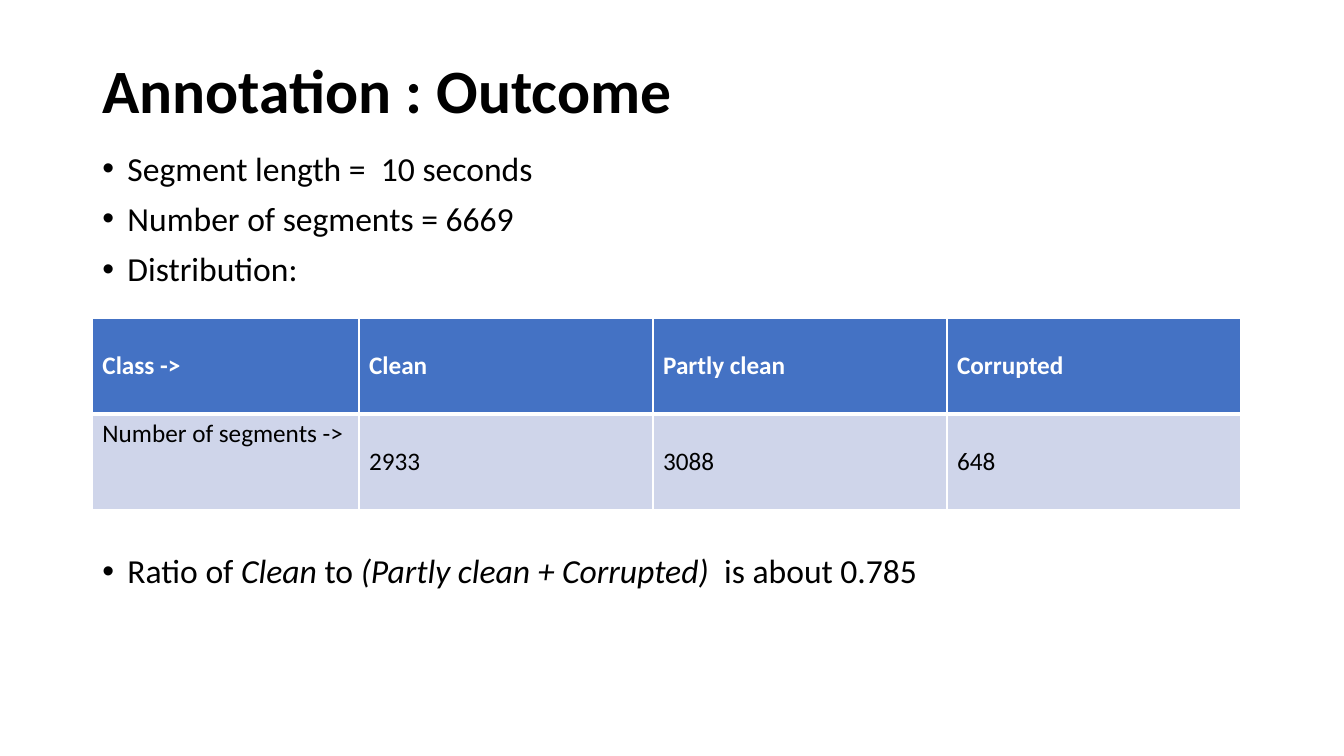
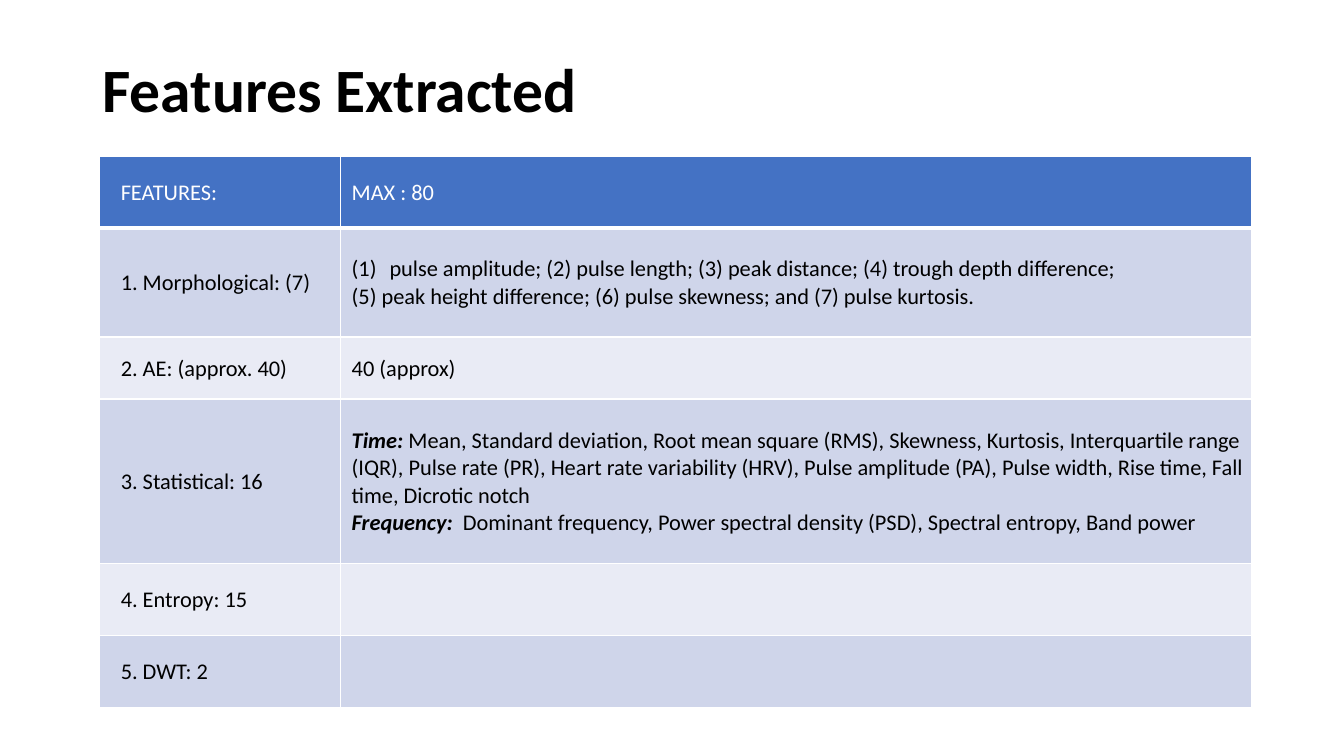
"""Build two slides: the annotation outcome and the extracted features."""
import dataclasses

import lxml.etree
import pptx
import pptx.dml.color
import pptx.enum.text
import pptx.oxml.ns
import pptx.util


@dataclasses.dataclass(frozen=True)
class Theme:
    font: str = "Calibri"
    black: str = "000000"
    white: str = "FFFFFF"
    head: str = "4472C4"
    bands: tuple = ("CFD5EA", "E9EBF5")
    title: int = 44
    body: int = 24
    cell: int = 18
    small: int = 16
    thin: int = 1
    thick: int = 3


theme = Theme()
px = 9525
qn = pptx.oxml.ns.qn
color = pptx.dml.color.RGBColor.from_string
middle = pptx.enum.text.MSO_ANCHOR.MIDDLE


def write(para, runs, size, tint):
    """Add (text, style) runs, where style may hold b and i."""
    for text, style in runs:
        run = para.add_run()
        run.text = text
        font = run.font
        font.name, font.size = theme.font, pptx.util.Pt(size)
        font.color.rgb = color(tint)
        font.bold, font.italic = "b" in style, "i" in style


def grid(slide, left, top, cols, rows, cells, size):
    """Add a banded table; each cell is a list of paragraphs."""
    shape = slide.shapes.add_table(len(rows), len(cols), left * px, top * px,
                                   sum(cols) * px, sum(rows) * px)
    table = shape.table
    table.first_row = table.horz_banding = False
    for col, width in zip(table.columns, cols):
        col.width = width * px
    for r, height in enumerate(rows):
        table.rows[r].height = height * px
        fill = theme.bands[(r - 1) % 2] if r else theme.head
        for c, paras in enumerate(cells[r]):
            cell = table.cell(r, c)
            cell.vertical_anchor = middle
            props = cell._tc.get_or_add_tcPr()
            for side in "LRTB":
                thick = (r, side) in ((0, "B"), (1, "T"))
                width = theme.thick if thick else theme.thin
                line = lxml.etree.SubElement(props, qn("a:ln" + side), w=str(pptx.util.Pt(width)))
                solid = lxml.etree.SubElement(line, qn("a:solidFill"))
                lxml.etree.SubElement(solid, qn("a:srgbClr"), val=theme.white)
            cell.fill.solid()
            cell.fill.fore_color.rgb = color(fill)
            frame = cell.text_frame
            for n, runs in enumerate(paras):
                para = frame.add_paragraph() if n else frame.paragraphs[0]
                write(para, runs, size, theme.black if r else theme.white)
    return table


deck = pptx.Presentation()
deck.slide_width, deck.slide_height = 1280 * px, 720 * px
slides = []
for text, top, height in (("Annotation : Outcome", 38, 102), ("Features Extracted", 48, 81)):
    slide = deck.slides.add_slide(deck.slide_layouts[5])
    title = slide.shapes.title
    title.left, title.top, title.width, title.height = 88 * px, top * px, 1104 * px, height * px
    title.text_frame.vertical_anchor = middle
    para = title.text_frame.paragraphs[0]
    para.alignment = pptx.enum.text.PP_ALIGN.LEFT
    para.line_spacing = 0.9
    write(para, [(text, "b")], theme.title, theme.black)
    slides.append(slide)
first, second = slides

points = [
    (10, [("Segment length =  10 seconds", "")]),
    (10, [("Number of segments = 6669", "")]),
    (10, [("Distribution:", "")]),
    (190, [("Ratio of ", ""), ("Clean ", "i"), ("to ", ""),
           ("(Partly clean + Corrupted)  ", "i"), ("is about 0.785", "")]),
]
frame = first.shapes.add_textbox(88 * px, 140 * px, 1104 * px, 508 * px).text_frame
frame.word_wrap = True
for n, (gap, runs) in enumerate(points):
    para = frame.add_paragraph() if n else frame.paragraphs[0]
    para.line_spacing, para.space_before = 0.9, pptx.util.Pt(gap)
    props = para._p.get_or_add_pPr()
    props.set("marL", str(24 * px))
    props.set("indent", str(-24 * px))
    lxml.etree.SubElement(props, qn("a:buFont"), typeface="Arial")
    lxml.etree.SubElement(props, qn("a:buChar"), char="•")
    write(para, runs, theme.body, theme.black)

counts = [
    [[[(text, "b")]] for text in ("Class ->", "Clean", "Partly clean", "Corrupted")],
    [[[(text, "")]] for text in ("Number of segments ->", "2933", "3088", "648")],
]
table = grid(first, 88, 303, [254, 280, 280, 280], [91, 91], counts, theme.cell)
table.cell(1, 0).vertical_anchor = pptx.enum.text.MSO_ANCHOR.TOP

traits = [
    ("FEATURES:", [[("MAX : 80", "")]]),
    ("1. Morphological: (7)", [
        [("pulse amplitude; (2) pulse length; (3) peak distance; "
          "(4) trough depth difference;", "")],
        [("(5) peak height difference; (6) pulse skewness; and (7) pulse kurtosis.", "")]]),
    ("2. AE: (approx. 40)", [[("40 (approx)", "")]]),
    ("3. Statistical: 16", [
        [("Time: ", "bi"),
         ("Mean, Standard deviation, Root mean square (RMS), Skewness, Kurtosis, "
          "Interquartile range (IQR), Pulse rate (PR), Heart rate variability (HRV), "
          "Pulse amplitude (PA), Pulse width, Rise time, Fall time, Dicrotic notch", "")],
        [("Frequency:", "bi"),
         ("  Dominant frequency, Power spectral density (PSD), Spectral entropy, "
          "Band power", "")]]),
    ("4. Entropy: 15", []),
    ("5. DWT: 2", []),
]
cells = [([[(name, "")]], paras) for name, paras in traits]
table = grid(second, 95, 149, [229, 868], [68, 104, 59, 157, 68, 69], cells, theme.small)
for row in table.rows:
    for cell, indent in zip(row.cells, (19, 10)):
        cell.margin_left = cell.margin_right = cell.margin_top = px
        cell.margin_bottom = 0
        for para in cell.text_frame.paragraphs:
            para._p.get_or_add_pPr().set("marL", str(indent * px))
props = table.cell(1, 1).text_frame.paragraphs[0]._p.get_or_add_pPr()
props.set("marL", str(46 * px))
props.set("indent", str(-36 * px))
lxml.etree.SubElement(props, qn("a:buAutoNum"), type="arabicParenBoth")

deck.save("out.pptx")
